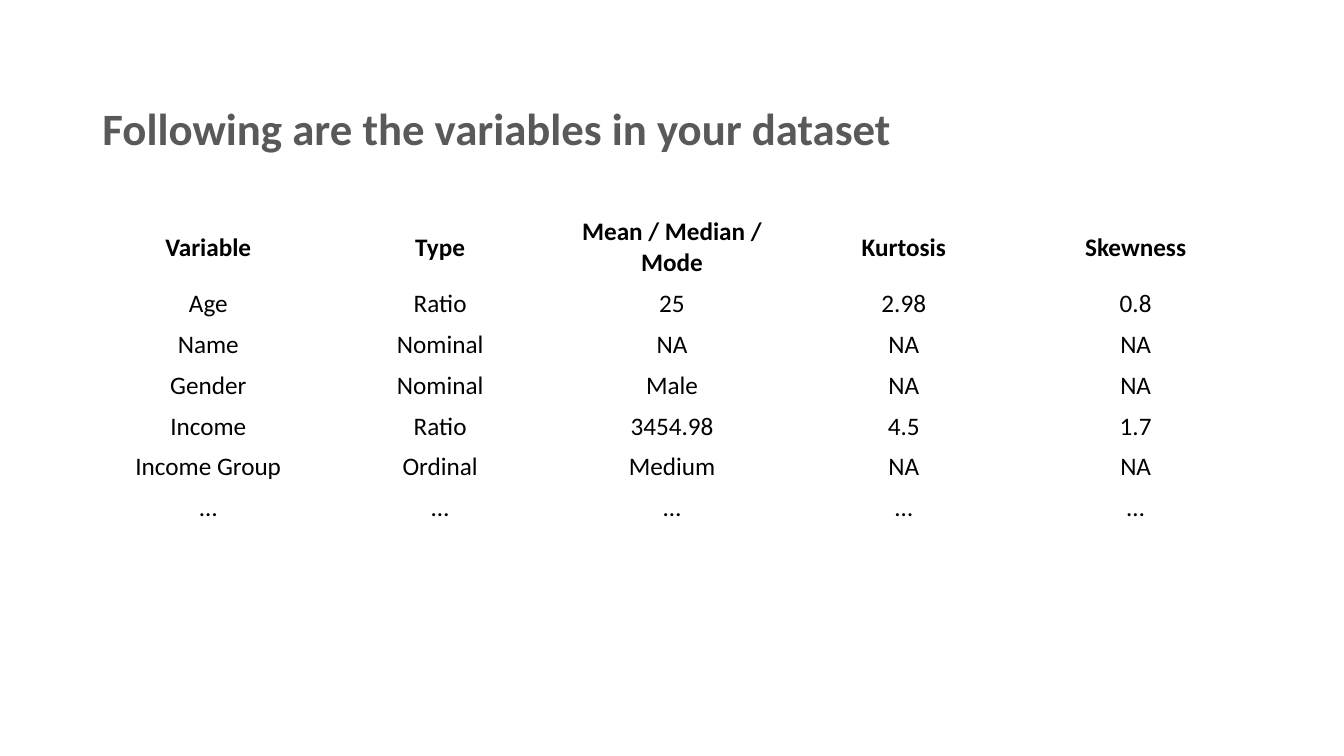
from pptx import Presentation
from pptx.dml.color import RGBColor
from pptx.enum import text
from pptx.util import Pt

COLORS = {"heading": "595959", "body": "000000", "cell": "FFFFFF"}
FONT = "Calibri"
LEFT, WIDTH = 66, 828
ROW_HEIGHT = 29.2

ROWS = [
    ("Variable", "Type", "Mean / Median / Mode", "Kurtosis", "Skewness"),
    ("Age", "Ratio", "25", "2.98", "0.8"),
    ("Name", "Nominal", "NA", "NA", "NA"),
    ("Gender", "Nominal", "Male", "NA", "NA"),
    ("Income", "Ratio", "3454.98", "4.5", "1.7"),
    ("Income Group", "Ordinal", "Medium", "NA", "NA"),
    ("…",) * 5,
]


def write(frame, words, size, color, bold=False, align=text.PP_ALIGN.LEFT):
    paragraph = frame.paragraphs[0]
    paragraph.alignment = align
    run = paragraph.add_run()
    run.text = words
    run.font.name = FONT
    run.font.size = Pt(size)
    run.font.bold = bold
    run.font.color.rgb = RGBColor.from_string(COLORS[color])
    return paragraph


presentation = Presentation()
presentation.slide_width = Pt(960)
presentation.slide_height = Pt(540)
slide = presentation.slides.add_slide(presentation.slide_layouts[5])

# Heading
title = slide.shapes.title
title.left, title.top = Pt(LEFT), Pt(72.72)
title.width, title.height = Pt(WIDTH), Pt(413.28)
title.text_frame.word_wrap = True
title.text_frame.auto_size = text.MSO_AUTO_SIZE.NONE
title.text_frame.vertical_anchor = text.MSO_ANCHOR.TOP
heading = write(title.text_frame, "Following are the variables in your dataset",
                size=32, color="heading", bold=True)
heading.line_spacing = 0.9
heading.space_before = Pt(10)

# Variables table; the default table style supplies its white borders
table = slide.shapes.add_table(
    len(ROWS), len(ROWS[0]), Pt(LEFT), Pt(151.2), Pt(WIDTH), Pt(ROW_HEIGHT * len(ROWS))
).table
table.horz_banding = False
for row_index, row in enumerate(ROWS):
    table.rows[row_index].height = Pt(ROW_HEIGHT)
    for column_index, words in enumerate(row):
        cell = table.cell(row_index, column_index)
        cell.fill.solid()
        cell.fill.fore_color.rgb = RGBColor.from_string(COLORS["cell"])
        cell.vertical_anchor = text.MSO_ANCHOR.MIDDLE
        write(cell.text_frame, words, size=18, color="body",
              bold=row_index == 0, align=text.PP_ALIGN.CENTER)

presentation.save("out.pptx")
